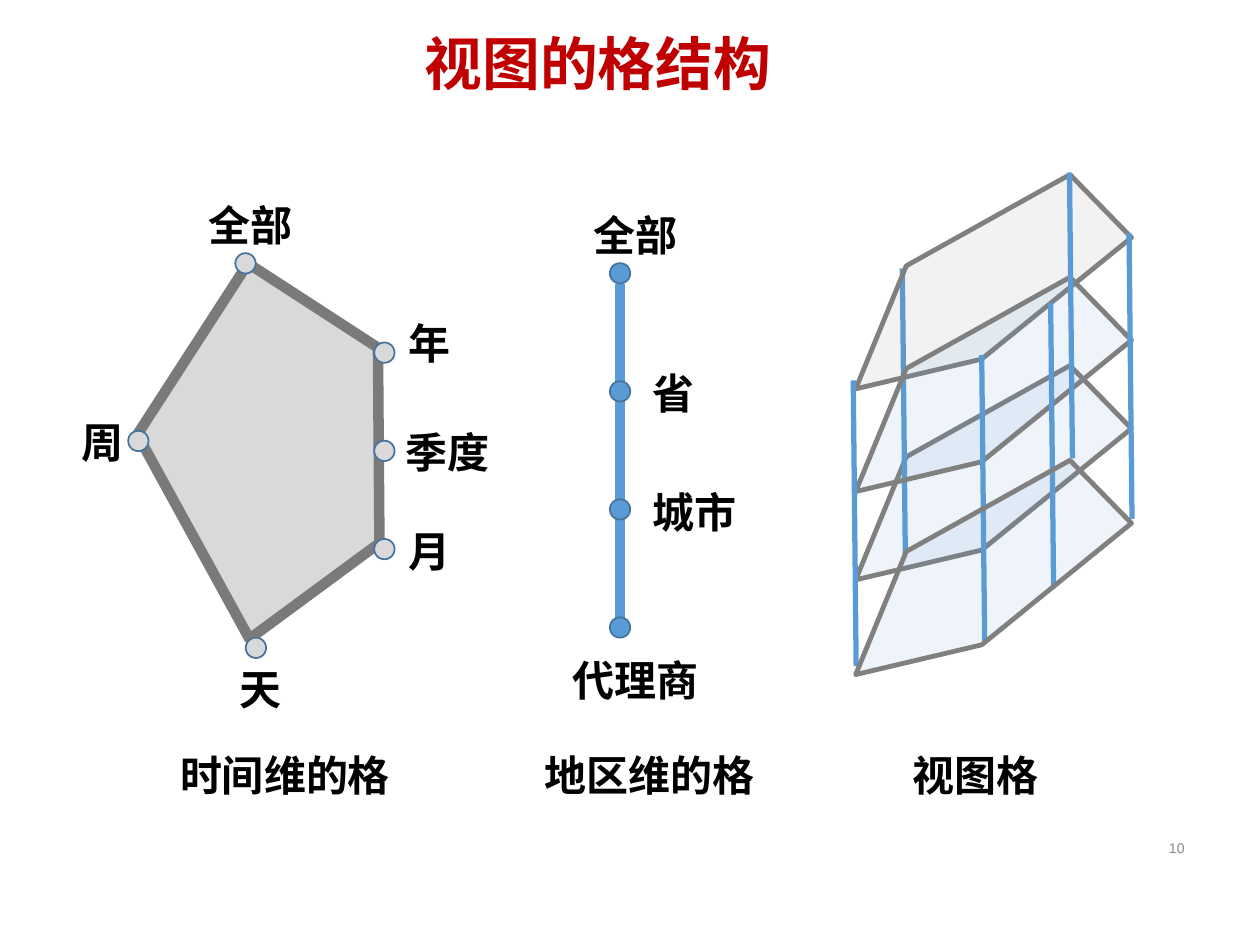
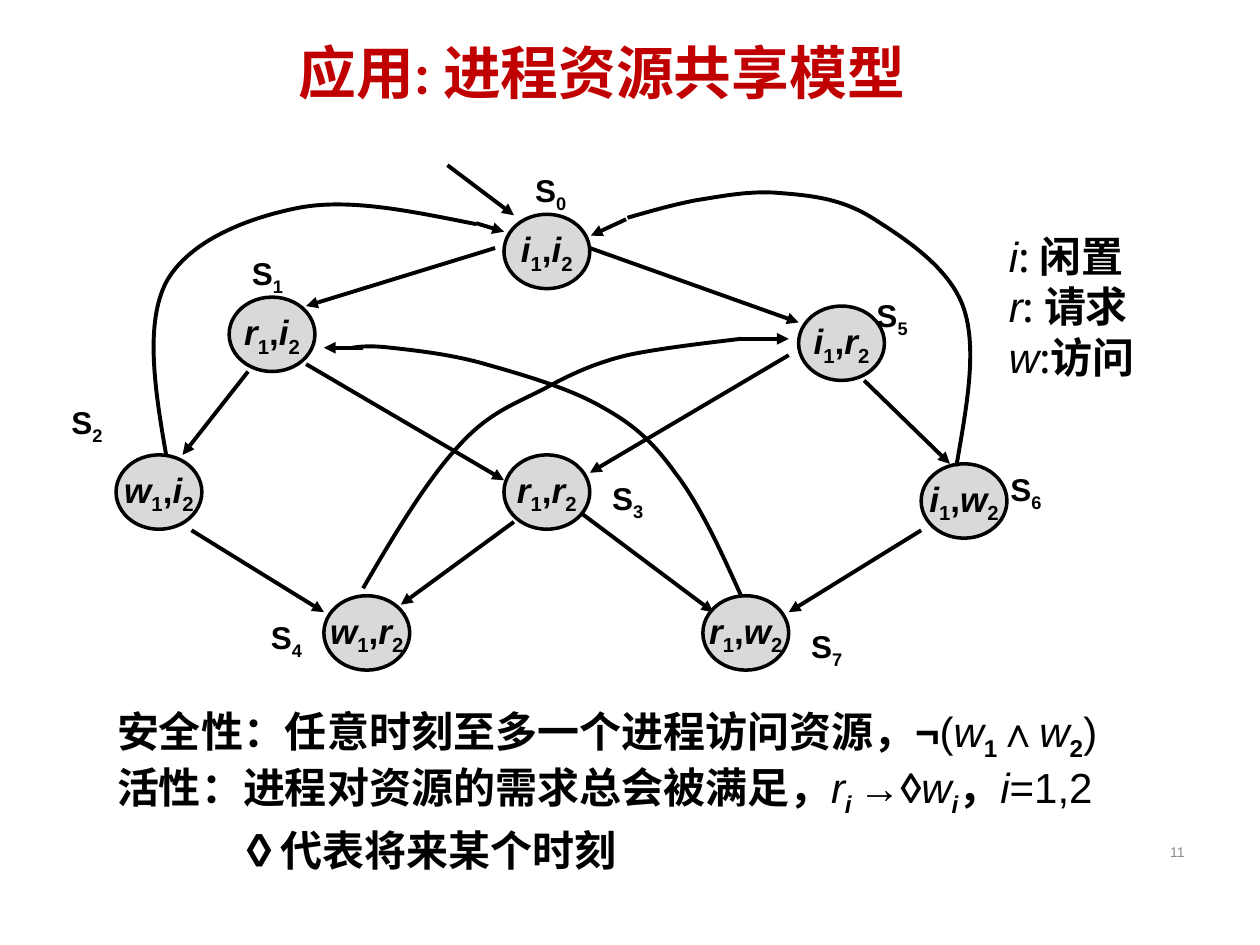
import pptx
import pptx.dml.color
import pptx.enum.shapes
import pptx.enum.text
import pptx.oxml
import pptx.oxml.ns
import pptx.util
from pptx.util import Cm

RGBColor = pptx.dml.color.RGBColor
PP_ALIGN = pptx.enum.text.PP_ALIGN
MIDDLE = pptx.enum.text.MSO_ANCHOR.MIDDLE
qn = pptx.oxml.ns.qn

RED = RGBColor(0xC0, 0x00, 0x00)
BLACK = RGBColor(0x00, 0x00, 0x00)
PALE_GRAY = RGBColor(0xD9, 0xD9, 0xD9)
PAGE_GRAY = RGBColor(0x89, 0x89, 0x89)
DARK_GRAY = RGBColor(0x7A, 0x7A, 0x7A)
SHEET_GRAY = RGBColor(0x80, 0x80, 0x80)
BLUE = RGBColor(0x5B, 0x9B, 0xD5)
DOT_EDGE = RGBColor(0x43, 0x73, 0x9E)

LATIN = "Arial"
CHINESE = "Noto Sans CJK SC"
DOT_SIZE = 0.41
STATE_WIDTH, STATE_HEIGHT = 1.73, 1.5

TIME_OUTLINE = [(5, 5.31), (2.77, 8.76), (5.03, 12.88), (7.65, 10.95), (7.62, 7.01)]
TIME_DOTS = [(7.75, 7.11), (2.79, 8.89), (7.75, 9.09), (7.75, 11.07), (5.16, 13.06), (4.95, 5.31)]
LATTICE_LABELS = [
    ("全部", 3.96, 3.89), ("年", 7.98, 6.27), ("季度", 7.92, 8.48),
    ("月", 7.98, 10.46), ("周", 1.4, 8.28), ("天", 4.57, 13.26),
    ("全部", 11.71, 4.09), ("省", 12.9, 7.29), ("城市", 12.9, 9.68), ("代理商", 11.3, 13.06),
    ("时间维的格", 3.38, 14.99), ("地区维的格", 10.72, 14.99), ("视图格", 18.14, 14.99),
]
SHEET_LEFT = 17.25
SHEET_OUTLINE = [(4.32, 0), (1.02, 1.84), (0, 4.32), (2.54, 3.72), (5.56, 1.27)]
BACK_PILLAR = (18.19, 5.41)
FRONT_PILLARS = [(22.76, 4.7), (21.56, 3.48), (21.18, 6.1), (17.2, 7.67), (19.79, 7.16)]

# Processes' conditions, position of the state, position of its label
STATES = [
    ("ii", (10.16, 4.32), (10.54, 3.33)),
    ("ri", (4.62, 5.99), (4.83, 5)),
    ("wi", (2.34, 9.17), (1.19, 8)),
    ("rr", (10.16, 9.17), (12.09, 9.53)),
    ("wr", (6.53, 12.01), (5.21, 12.34)),
    ("ir", (16.1, 6.17), (17.42, 5.84)),
    ("iw", (18.57, 9.35), (20.12, 9.35)),
    ("rw", (14.17, 12.01), (16.1, 12.52)),
]
TRANSITIONS = [
    ((9.98, 5), (6.17, 6.17)), ((11.89, 5), (16.1, 6.5)),
    ((5, 7.49), (3.68, 9.17)), ((6.17, 7.34), (10.16, 9.68)),
    ((15.9, 7.16), (11.89, 9.53)), ((17.42, 7.67), (19.15, 9.35)),
    ((10.36, 10.52), (8.08, 12.19)), ((11.71, 10.34), (14.38, 12.34)),
    ((18.57, 10.69), (15.9, 12.34)), ((3.86, 10.69), (6.53, 12.34)),
    ((9.02, 3.33), (10.36, 4.34)),
]
# Each curve's Bézier points, then the arrow that ends it
RETURN_PATHS = [
    ([(3.35, 9.17), (3.12, 7.85), (2.92, 6.53), (3.35, 5.69), (3.81, 4.85), (5, 4.39),
      (6.02, 4.19), (7.06, 3.99), (8.33, 4.27), (9.6, 4.52)],
     ((9.6, 4.5), (10.16, 4.67))),
    ([(19.28, 9.4), (19.48, 8.23), (19.71, 7.06), (19.43, 6.22), (19.15, 5.38), (18.19, 4.78),
      (17.58, 4.39), (16.94, 3.99), (16.31, 3.94), (15.7, 3.89), (15.11, 3.84), (14.53, 3.96),
      (14.02, 4.04), (13.51, 4.14), (13.08, 4.27), (12.65, 4.39)],
     ((12.62, 4.42), (11.91, 4.75))),
    ([(14.94, 12.01), (14.53, 11.1), (14.1, 10.16), (13.61, 9.53), (13.13, 8.86), (12.73, 8.53),
      (12.09, 8.18), (11.46, 7.82), (10.49, 7.54), (9.78, 7.34), (9.09, 7.14), (8.33, 7.06),
      (7.87, 7.01), (7.44, 6.96), (7.26, 6.99), (7.11, 7.01)],
     ((7.32, 7.01), (6.53, 7.01))),
    ([(7.32, 11.86), (7.95, 10.77), (8.61, 9.68), (9.22, 9.02), (9.83, 8.33), (10.36, 8.15),
      (10.95, 7.85), (11.51, 7.54), (11.99, 7.32), (12.65, 7.16), (13.34, 7.01), (14.55, 6.88),
      (14.94, 6.83)],
     ((14.94, 6.83), (15.9, 6.83))),
]
# Run styles: b bold, i italic, s subscript, c Chinese font for all letters
LEGEND = [
    [("i", "i"), (": ", "c"), ("闲置", "bc")],
    [("r", "i"), (": ", "c"), ("请求", "bc")],
    [("w", "i"), (":", "c"), ("访问", "bc")],
]
PROPERTIES = [
    [("安全性：任意时刻至多一个进程访问资源，¬", "b"), ("(", ""), ("w", "i"), ("1", "bs"),
     ("∧", "b"), ("w", "i"), ("2", "bs"), (")", "")],
    [("活性：进程对资源的需求总会被满足，", "b"), ("r", "i"), ("i ", "bis"), ("→◊", "b"),
     ("w", "i"), ("i", "bis"), ("，", "b"), ("i", "i"), ("=1,2", "")],
    [("◊代表将来某个时刻", "b")],
]


def format_run(run, size, color=BLACK, style="", latin=LATIN):
    run.font.size = pptx.util.Pt(size)
    run.font.color.rgb = color
    run.font.bold = "b" in style
    run.font.italic = "i" in style
    run.font.name = CHINESE if "c" in style else latin
    properties = run.font._element
    pptx.oxml.ns.qn("a:ea")
    east_asian = properties.makeelement(qn("a:ea"), {"typeface": CHINESE})
    properties.find(qn("a:latin")).addnext(east_asian)
    if "s" in style:
        properties.set("baseline", "-25000")


def write_lines(text_frame, lines, size):
    """Write one paragraph per line, each line a list of (text, style) runs."""
    for index, line in enumerate(lines):
        paragraph = text_frame.add_paragraph() if index else text_frame.paragraphs[0]
        for text, style in line:
            run = paragraph.add_run()
            run.text = text
            format_run(run, size, style=style)


def add_text_box(slide, left, top, width, height, wrap=True):
    text_frame = slide.shapes.add_textbox(Cm(left), Cm(top), Cm(width), Cm(height)).text_frame
    text_frame.word_wrap = wrap
    return text_frame


def add_title(slide, text, left, top, width, height, indent):
    text_frame = add_text_box(slide, left, top, width, height)
    text_frame.margin_left = Cm(indent)
    text_frame.vertical_anchor = MIDDLE
    text_frame.text = text
    text_frame.paragraphs[0].line_spacing = 0.9
    format_run(text_frame.paragraphs[0].runs[0], 33, RED, "b", "Calibri")


def add_page_number(slide, number, top):
    text_frame = add_text_box(slide, 18.21, top, 5.92, 1.02)
    text_frame.vertical_anchor = MIDDLE
    text_frame.text = str(number)
    text_frame.paragraphs[0].alignment = PP_ALIGN.RIGHT
    format_run(text_frame.paragraphs[0].runs[0], 8, PAGE_GRAY)


def add_label(slide, text, left, top):
    text_frame = add_text_box(slide, left, top, 0.86 * len(text) + 0.51, 1.3, wrap=False)
    write_lines(text_frame, [[(text, "b")]], 24)


def style_shape(shape, fill, line, line_width):
    shape.shadow.inherit = False
    if fill is None:
        shape.fill.background()
    else:
        shape.fill.solid()
        shape.fill.fore_color.rgb = fill
    shape.line.color.rgb = line
    shape.line.width = pptx.util.Pt(line_width)


def add_ellipse(slide, left, top, width, height, fill, line, line_width):
    shape = slide.shapes.add_shape(
        pptx.enum.shapes.MSO_SHAPE.OVAL, Cm(left), Cm(top), Cm(width), Cm(height))
    style_shape(shape, fill, line, line_width)
    return shape


def add_dot(slide, center_x, center_y, fill):
    add_ellipse(slide, center_x - DOT_SIZE / 2, center_y - DOT_SIZE / 2,
                DOT_SIZE, DOT_SIZE, fill, DOT_EDGE, 1)


def add_freeform(slide, points, fill, line, line_width, close=True):
    corners = [(Cm(x), Cm(y)) for x, y in points]
    builder = slide.shapes.build_freeform(*corners[0])
    builder.add_line_segments(corners[1:], close=close)
    shape = builder.convert_to_shape()
    style_shape(shape, fill, line, line_width)
    return shape


def add_curve(slide, points):
    """Draw an open Bézier path: a start, then three points per segment."""
    shape = add_freeform(slide, points, None, BLACK, 2.25, close=False)
    outline = shape._element.find(".//" + qn("a:path"))
    segments = outline.findall(qn("a:lnTo"))
    for first in range(0, len(segments), 3):
        bezier = outline.makeelement(qn("a:cubicBezTo"), {})
        outline.append(bezier)
        for segment in segments[first:first + 3]:
            bezier.append(segment[0])
            outline.remove(segment)


def add_line(slide, start, end, color, width, arrow=False):
    connector = slide.shapes.add_connector(
        pptx.enum.shapes.MSO_CONNECTOR.STRAIGHT, *(Cm(value) for value in (*start, *end)))
    connector.line.color.rgb = color
    connector.line.width = pptx.util.Pt(width)
    if arrow:
        line = connector.line._get_or_add_ln()
        line.append(line.makeelement(qn("a:tailEnd"), {"type": "triangle"}))
    properties = connector._element.spPr
    properties.append(properties.makeelement(qn("a:effectLst"), {}))


def add_sheet(slide, top, color):
    """Draw one see-through layer of the combined lattice."""
    points = [(SHEET_LEFT + x, top + y) for x, y in SHEET_OUTLINE]
    shape = add_freeform(slide, points, color, SHEET_GRAY, 2.75)
    fill_color = shape._element.spPr.find(qn("a:solidFill"))[0]
    fill_color.append(fill_color.makeelement(qn("a:alpha"), {"val": "10000"}))


def add_pillar(slide, left, top):
    add_line(slide, (left, top), (left + 0.06, top + 5.76), BLUE, 3)


def add_state(slide, number, conditions, position, label_position):
    shape = add_ellipse(slide, *position, STATE_WIDTH, STATE_HEIGHT, PALE_GRAY, BLACK, 2)
    first, second = conditions
    shape.text_frame.word_wrap = False
    shape.text_frame.vertical_anchor = MIDDLE
    write_lines(shape.text_frame, [
        [(first, "bi"), ("1", "bs"), (",", "b"), (second, "bi"), ("2", "bs")]], 20)
    shape.text_frame.paragraphs[0].alignment = PP_ALIGN.CENTER
    label = add_text_box(slide, *label_position, 1.73, 1.02)
    write_lines(label, [[("S", "b"), (str(number), "bs")]], 18)


def build_lattice_slide(slide):
    add_title(slide, "视图的格结构", 1.7, -0.25, 22.86, 3.18, 6.86)
    add_page_number(slide, 10, 16.59)
    add_freeform(slide, TIME_OUTLINE, PALE_GRAY, DARK_GRAY, 6)
    for x, y in TIME_DOTS:
        add_dot(slide, x, y, PALE_GRAY)
    add_line(slide, (12.5, 5.72), (12.5, 12.83), BLUE, 6)
    for level in range(4):
        add_dot(slide, 12.5, 5.51 + 2.38 * level, BLUE)
    add_sheet(slide, 7.37, BLUE)
    add_pillar(slide, *BACK_PILLAR)
    add_sheet(slide, 3.52, SHEET_GRAY)
    add_sheet(slide, 5.59, BLUE)
    for left, top in FRONT_PILLARS:
        add_pillar(slide, left, top)
    add_sheet(slide, 9.28, BLUE)
    for text, left, top in LATTICE_LABELS:
        add_label(slide, text, left, top)


def build_process_slide(slide):
    add_title(slide, "应用: 进程资源共享模型", 1.27, 0.53, 23.44, 2, 4.75)
    add_page_number(slide, 11, 16.66)
    for number, state in enumerate(STATES):
        add_state(slide, number, *state)
    for start, end in TRANSITIONS:
        add_line(slide, start, end, BLACK, 2.25, arrow=True)
    for points, (start, end) in RETURN_PATHS:
        add_curve(slide, points)
        add_line(slide, start, end, BLACK, 2.25, arrow=True)
    write_lines(add_text_box(slide, 20.09, 4.52, 3.38, 3.33, wrap=False), LEGEND, 24)
    properties = add_text_box(slide, 2.11, 14.12, 21.79, 3.58)
    write_lines(properties, PROPERTIES, 24)
    for paragraph in properties.paragraphs:
        paragraph.line_spacing = pptx.util.Pt(32)
    properties.paragraphs[-1]._p.get_or_add_pPr().set("marL", str(Cm(2.45)))


def main():
    presentation = pptx.Presentation()
    presentation.slide_width, presentation.slide_height = Cm(25.4), Cm(19.05)
    blank_layout = presentation.slide_layouts[6]
    for build_slide in (build_lattice_slide, build_process_slide):
        build_slide(presentation.slides.add_slide(blank_layout))
    presentation.save("out.pptx")


if __name__ == "__main__":
    main()
